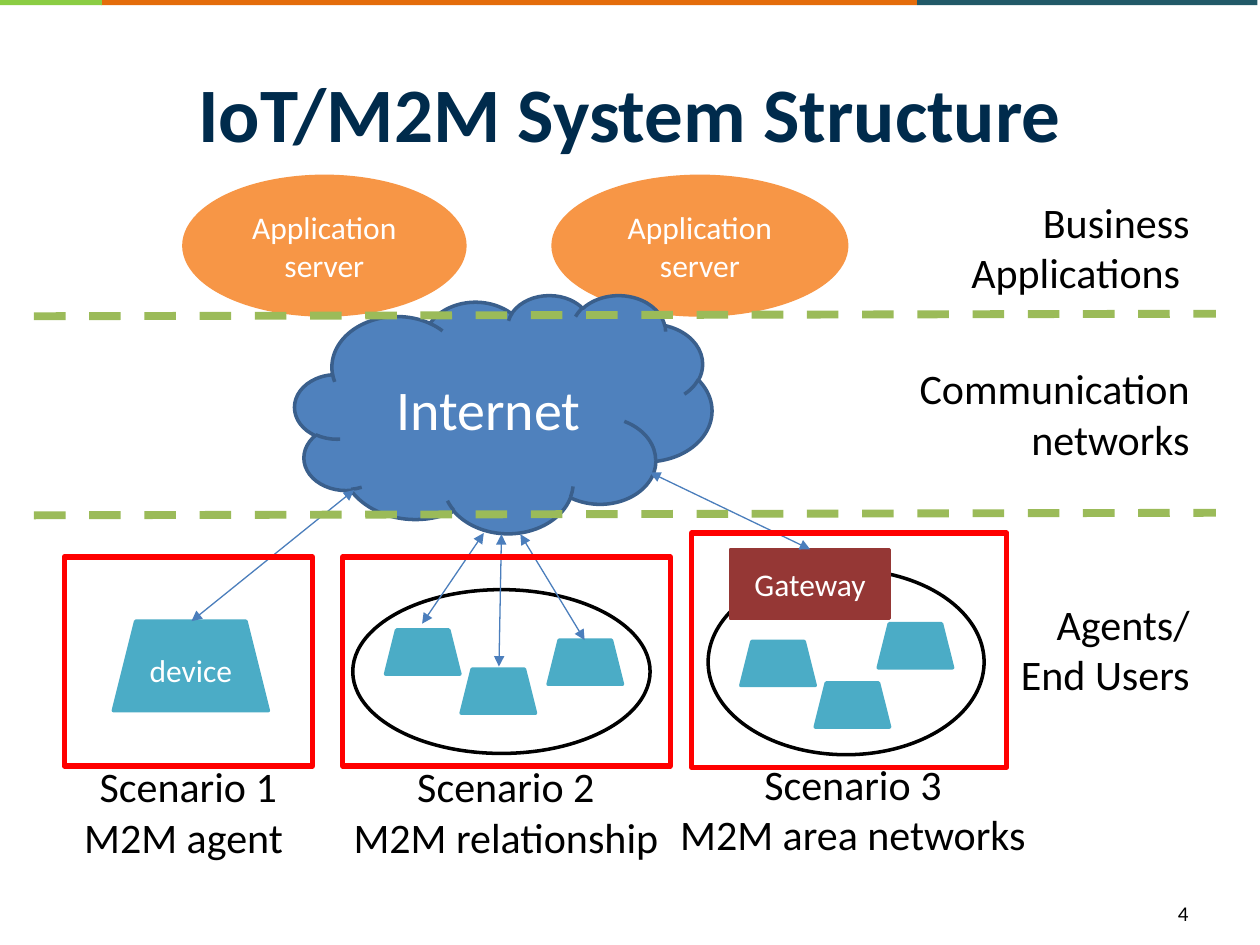
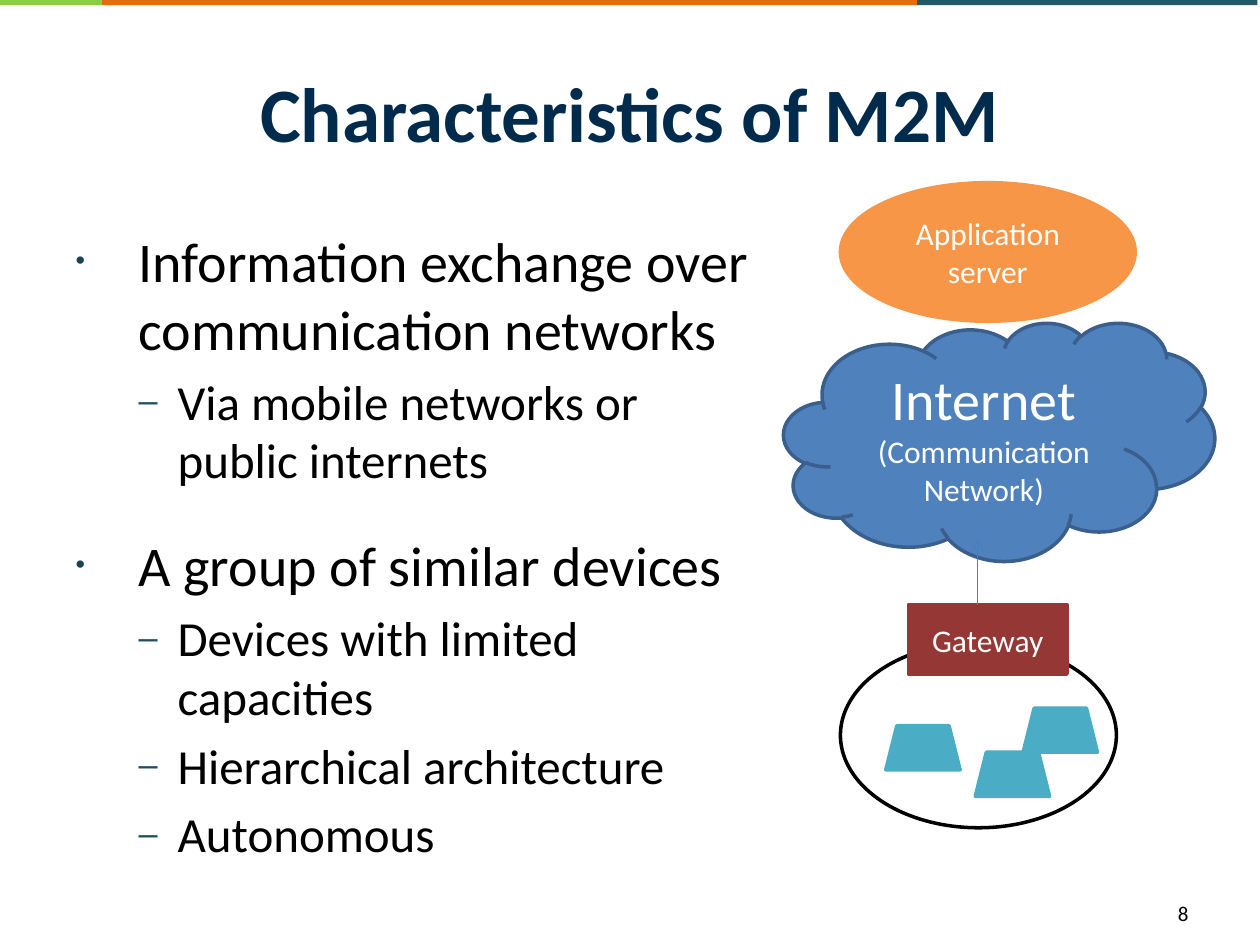
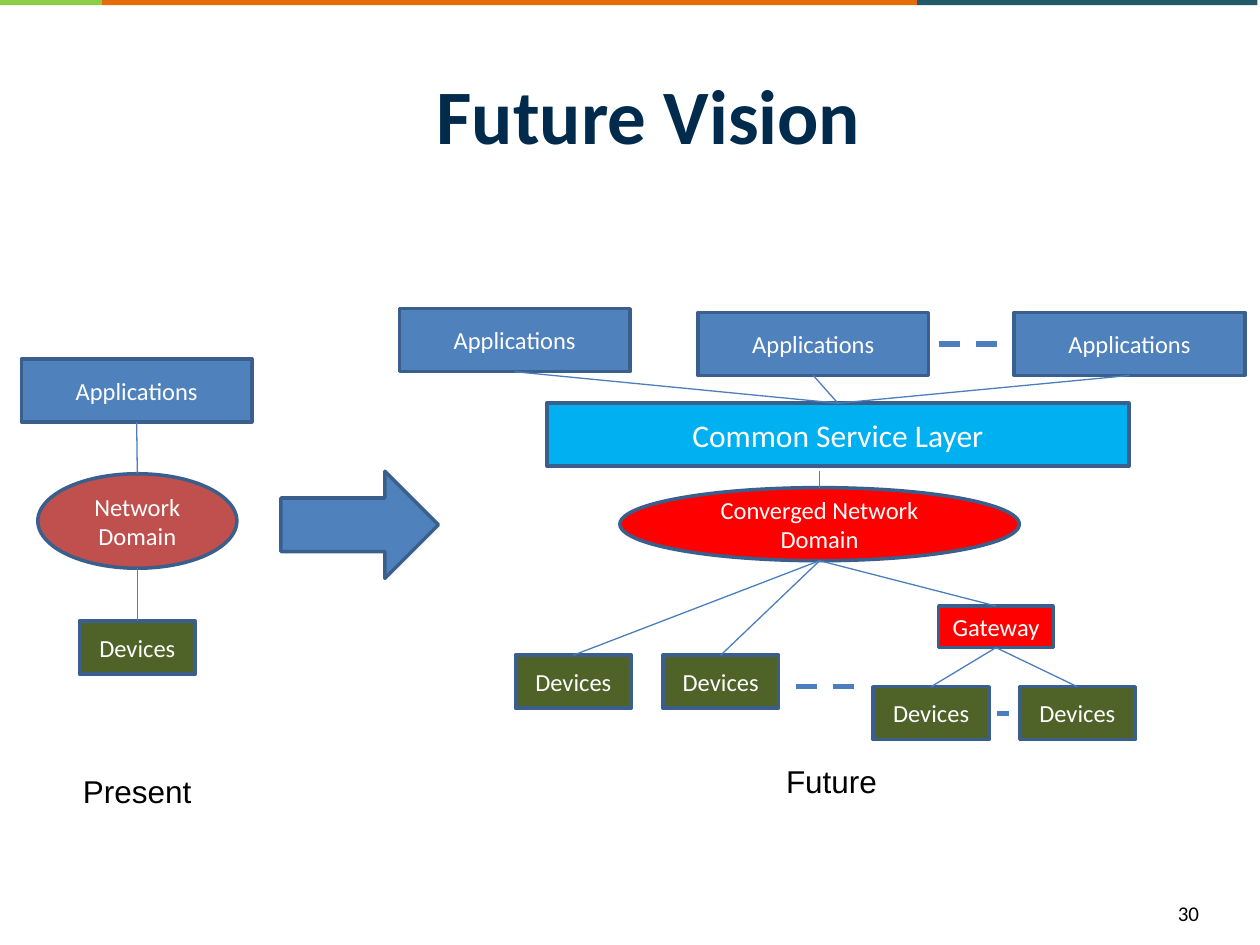
from dataclasses import dataclass

from lxml.etree import SubElement
from pptx import Presentation
from pptx.dml.color import RGBColor
from pptx.enum.dml import MSO_LINE
from pptx.enum.shapes import MSO_CONNECTOR, MSO_SHAPE
from pptx.enum.text import MSO_ANCHOR, MSO_AUTO_SIZE, PP_ALIGN
from pptx.oxml.ns import qn
from pptx.util import Inches, Pt

COLUMNS, ROWS = 100, 75  # every position is given in cells of this grid


@dataclass(frozen=True)
class Theme:
    font: str = "Calibri"
    caption_font: str = "Arial"
    # Colours
    title: str = "002B4C"
    black: str = "000000"
    white: str = "FFFFFF"
    green_band: str = "8BCD43"
    orange_band: str = "E46C0A"
    teal_band: str = "215968"
    orange: str = "F79646"
    blue: str = "4F81BD"
    outline: str = "3A5F8C"
    link: str = "4B7EBC"
    teal: str = "4BACC6"
    maroon: str = "953735"
    brick: str = "C0504D"
    olive: str = "4F6228"
    lime: str = "9BBB59"
    red: str = "FF0000"
    sky: str = "00B0F0"
    # Type sizes
    title_size: int = 44
    large: int = 32
    medium: int = 28
    label: int = 24
    node: int = 18
    small: int = 14
    number: int = 12


THEME = Theme()


@dataclass(frozen=True)
class Box:
    left: float
    top: float
    width: float
    height: float

    @property
    def head(self):
        return self.left + self.width / 2, self.top

    @property
    def foot(self):
        return self.left + self.width / 2, self.top + self.height


def write_text(paragraph, text, size=THEME.node, color=THEME.white, font=THEME.font,
               bold=False, align=None):
    """Add one formatted run to a paragraph."""
    run = paragraph.add_run()
    run.text = text
    run.font.size = Pt(size)
    run.font.name = font
    run.font.bold = bold
    run.font.color.rgb = RGBColor.from_string(color)
    if align is not None:
        paragraph.alignment = align


def write_lines(frame, text, **style):
    """Write each line of the text as a paragraph."""
    for index, line in enumerate(text.split("\n")):
        paragraph = frame.add_paragraph() if index else frame.paragraphs[0]
        write_text(paragraph, line, **style)


class Deck:
    """Holds the presentation, the theme and the slide being filled."""

    # Level: indent, hanging, bullet, bullet colour, bullet size, type size
    LEVELS = (
        (0.5, 0.5, "•", "19434F", 48, THEME.large),
        (0.81, 0.31, "–", "1D4F5D", 70, THEME.medium),
    )

    def __init__(self):
        self.presentation = Presentation()
        self.presentation.slide_width = Inches(10)
        self.presentation.slide_height = Inches(7.5)
        self.slide = None

    # Grid
    def x(self, columns):
        return round(self.presentation.slide_width * columns / COLUMNS)

    def y(self, rows):
        return round(self.presentation.slide_height * rows / ROWS)

    def place(self, box):
        return self.x(box.left), self.y(box.top), self.x(box.width), self.y(box.height)

    def move(self, placeholder, box):
        (placeholder.left, placeholder.top,
         placeholder.width, placeholder.height) = self.place(box)
        placeholder.text_frame.auto_size = MSO_AUTO_SIZE.NONE

    # Shared parts
    def add_slide(self, title, number, title_box=Box(5, 3, 90, 11.7), layout=5):
        first = self.slide is None
        self.slide = self.presentation.slides.add_slide(
            self.presentation.slide_layouts[layout])
        if first:
            self.add_bands()
        heading = self.slide.shapes.title
        self.move(heading, title_box)
        heading.text_frame.vertical_anchor = MSO_ANCHOR.MIDDLE
        write_text(heading.text_frame.paragraphs[0], title, size=THEME.title_size,
                   color=THEME.title, bold=True, align=PP_ALIGN.CENTER)
        self.text(Box(92.5, 71, 6.4, 4), number, size=THEME.number, grow=False)

    def add_bands(self):
        """Draw the top bands and hand them to the slide master."""
        master = self.presentation.slide_master.shapes.element
        for left, width, color in ((8, 64.8, THEME.orange_band),
                                   (72.8, 27, THEME.teal_band),
                                   (-0.5, 8.6, THEME.green_band)):
            band = self.shape(MSO_SHAPE.RECTANGLE, Box(left, -0.1, width, 0.5), color)
            master.append(band.element)

    # Elements
    def shape(self, kind, box, fill=None, line=None, weight=2):
        shape = self.slide.shapes.add_shape(kind, *self.place(box))
        shape.shadow.inherit = False
        if fill:
            shape.fill.solid()
            shape.fill.fore_color.rgb = RGBColor.from_string(fill)
        else:
            shape.fill.background()
        if line:
            shape.line.color.rgb = RGBColor.from_string(line)
            shape.line.width = Pt(weight)
        else:
            shape.line.fill.background()
        return shape

    def node(self, kind, box, text, fill, line=THEME.outline, size=THEME.small):
        """Draw a shape with centred white text and return its box."""
        frame = self.shape(kind, box, fill, line).text_frame
        frame.word_wrap = True
        frame.vertical_anchor = MSO_ANCHOR.MIDDLE
        write_lines(frame, text, size=size, align=PP_ALIGN.CENTER)
        return box

    def text(self, box, text, grow=True, wrap=True, color=THEME.black, **style):
        frame = self.slide.shapes.add_textbox(*self.place(box)).text_frame
        frame.word_wrap = wrap
        frame.auto_size = (MSO_AUTO_SIZE.SHAPE_TO_FIT_TEXT if grow
                           else MSO_AUTO_SIZE.NONE)
        write_lines(frame, text, color=color, **style)

    def line(self, start, end, color=THEME.link, weight=0.75, dash=False,
             head=None, tail=None):
        connector = self.slide.shapes.add_connector(
            MSO_CONNECTOR.STRAIGHT, self.x(start[0]), self.y(start[1]),
            self.x(end[0]), self.y(end[1]))
        connector.line.color.rgb = RGBColor.from_string(color)
        connector.line.width = Pt(weight)
        if dash:
            connector.line.dash_style = MSO_LINE.DASH
        properties = connector.element.spPr
        outline = properties.find(qn("a:ln"))
        for tag, arrow in (("a:headEnd", head), ("a:tailEnd", tail)):
            if arrow:
                SubElement(outline, qn(tag), type=arrow)
        SubElement(properties, qn("a:effectLst"))

    def bullets(self, box, items):
        """Fill the body placeholder with (level, text, space before) items."""
        body = self.slide.placeholders[1]
        self.move(body, box)
        for index, (level, text, space) in enumerate(items):
            frame = body.text_frame
            paragraph = frame.add_paragraph() if index else frame.paragraphs[0]
            indent, hanging, bullet, color, percent, size = self.LEVELS[level]
            paragraph.level = level
            if space:
                paragraph.space_before = Pt(space)
            write_text(paragraph, text, size=size, color=THEME.black)
            properties = paragraph._p.get_or_add_pPr()
            properties.set("marL", str(Inches(indent)))
            properties.set("indent", str(-Inches(hanging)))
            SubElement(SubElement(properties, qn("a:buClr")), qn("a:srgbClr"), val=color)
            SubElement(properties, qn("a:buSzPct"), val=str(percent * 1000))
            SubElement(properties, qn("a:buChar"), char=bullet)

    # Network parts
    def server(self, left, top, width):
        self.node(MSO_SHAPE.OVAL, Box(left, top, width, 11), "Application\nserver",
                  THEME.orange, THEME.orange, THEME.node)

    def internet(self, box, detail=None):
        cloud = self.shape(MSO_SHAPE.CLOUD, box, THEME.blue, THEME.outline)
        cloud.text_frame.word_wrap = True
        paragraph = cloud.text_frame.paragraphs[0]
        write_text(paragraph, "Internet", size=THEME.large, align=PP_ALIGN.CENTER)
        if detail:
            paragraph.add_line_break()
            write_text(paragraph, detail)

    def area(self, box):
        self.shape(MSO_SHAPE.OVAL, box, THEME.white, THEME.black)

    def gateway(self, left, top):
        self.node(MSO_SHAPE.RECTANGLE, Box(left, top, 12.6, 5.5), "Gateway",
                  THEME.maroon, THEME.maroon, THEME.node)

    def devices(self, *corners):
        for left, top in corners:
            self.shape(MSO_SHAPE.TRAPEZOID, Box(left, top, 5.9, 3.5),
                       THEME.teal, THEME.teal)


def add_structure(deck):
    deck.add_slide("IoT/M2M System Structure", "4")
    deck.area(Box(56.2, 45.2, 21.9, 14.7))
    deck.area(Box(28, 46.8, 23.6, 13))
    deck.server(43.9, 14, 23.3)
    deck.server(14.6, 14, 22.3)
    deck.internet(Box(23.4, 23.4, 33.1, 18.9))
    deck.node(MSO_SHAPE.TRAPEZOID, Box(9, 49.3, 12.3, 7.1), "device",
              THEME.teal, THEME.teal, THEME.node)
    deck.gateway(58, 43.6)
    deck.devices((64.7, 54.2), (58.8, 50.9), (69.7, 49.5),
                 (43.5, 50.8), (30.6, 50), (36.6, 53.1))

    # Links to the cloud
    for start, end in (((15.2, 49.3), (28.1, 38.9)), ((33.5, 49.5), (38.4, 42.3)),
                       ((64.3, 43.6), (51.6, 37.5)), ((39.6, 52.9), (39.8, 42.4)),
                       ((46.4, 50.8), (41.3, 42.4))):
        deck.line(start, end, head="triangle", tail="triangle")

    # Layer names
    for box, name in ((Box(75.2, 15.1, 20.2, 9.1), "Business Applications "),
                      (Box(71.3, 28.3, 24.1, 9.3), "Communication networks"),
                      (Box(71.3, 47, 24.1, 9.1), "Agents/\nEnd Users")):
        deck.text(box, name, size=THEME.label, align=PP_ALIGN.RIGHT)

    # Scenario frames and captions
    scenarios = (
        (Box(5.1, 44.2, 19.7, 16.6), Box(5.1, 59.9, 19.7, 9.1), "M2M agent "),
        (Box(27.2, 44.2, 26, 16.6), Box(26.9, 59.9, 26.5, 9.1), "M2M relationship "),
        (Box(54.9, 42.3, 25, 18.6), Box(52.4, 59.7, 30.6, 9.1), "M2M area networks"),
    )
    for number, (frame, caption, name) in enumerate(scenarios, 1):
        deck.shape(MSO_SHAPE.RECTANGLE, frame, line=THEME.red, weight=3)
        deck.text(caption, f"Scenario {number}\n{name}", size=THEME.label,
                  align=PP_ALIGN.CENTER)

    # Layer borders
    for row in (25.1, 40.9):
        deck.line((2.7, row), (96.5, row - 0.2), THEME.lime, 4.5, dash=True)


def add_characteristics(deck):
    deck.add_slide("Characteristics of M2M", "8", layout=1)
    deck.bullets(Box(5, 17.5, 56, 49.5), (
        (0, "Information exchange over communication networks", None),
        (1, "Via mobile networks or public internets", None),
        (0, "A group of similar devices", 24),
        (1, "Devices with limited capacities", None),
        (1, "Hierarchical architecture", None),
        (1, "Autonomous", None),
    ))
    deck.area(Box(66.7, 51, 21.9, 14.7))
    deck.server(66.7, 14.5, 23.4)
    deck.internet(Box(62.2, 25.6, 34.2, 18.9), "(Communication Network)")
    deck.gateway(72.1, 48)
    deck.devices((77.4, 59.7), (70.3, 57.6), (81.2, 56.2))
    deck.line((77.6, 48), (77.6, 42.8), tail="arrow")


def add_vision(deck):
    deck.add_slide("Future Vision", "30", Box(6.5, 2.8, 90, 12.5))

    def application(left, top):
        return deck.node(MSO_SHAPE.RECTANGLE, Box(left, top, 18.3, 5),
                         "Applications", THEME.blue)

    def device(left, top):
        return deck.node(MSO_SHAPE.RECTANGLE, Box(left, top, 9.2, 4.2),
                         "Devices", THEME.olive)

    # Present
    network = deck.node(MSO_SHAPE.OVAL, Box(3, 37.6, 15.8, 7.5), "Network Domain",
                        THEME.brick)
    deck.line(device(6.3, 49.3).head, network.foot)
    deck.line(network.head, application(1.7, 28.5).foot)
    deck.shape(MSO_SHAPE.RIGHT_ARROW, Box(22.3, 37.4, 12.5, 8.5),
               THEME.blue, THEME.outline)

    # Future
    converged = deck.node(MSO_SHAPE.OVAL, Box(49.2, 38.7, 31.7, 5.8),
                          "Converged Network Domain", THEME.red)
    gateway = deck.node(MSO_SHAPE.RECTANGLE, Box(74.5, 48.1, 9.1, 3.3), "Gateway",
                        THEME.red)
    service = deck.node(MSO_SHAPE.RECTANGLE, Box(43.4, 32, 46.2, 5),
                        "Common Service Layer", THEME.sky, size=THEME.node)
    deck.line(gateway.head, converged.foot)
    deck.line(converged.head, (converged.head[0], 37.4))
    for left, top, parent in ((40.9, 52, converged), (52.6, 52, converged),
                              (69.3, 54.5, gateway), (80.9, 54.5, gateway)):
        deck.line(device(left, top).head, parent.foot)
    for left, top in ((31.7, 24.5), (55.4, 24.8), (80.5, 24.8)):
        deck.line(service.head, application(left, top).foot)

    # Marks for further items
    for left, right, row, dash in ((79.1, 80.1, 56.6, False), (63.2, 68.4, 54.5, True),
                                   (74.5, 79.1, 27.3, True)):
        deck.line((left, row), (right, row), weight=3, dash=dash)

    for box, caption in ((Box(5.6, 60.8, 10.7, 4), "Present"),
                         (Box(61.4, 60, 9.3, 4), "Future")):
        deck.text(box, caption, wrap=False, font=THEME.caption_font)


def main():
    deck = Deck()
    add_structure(deck)
    add_characteristics(deck)
    add_vision(deck)
    deck.presentation.save("out.pptx")


if __name__ == "__main__":
    main()
